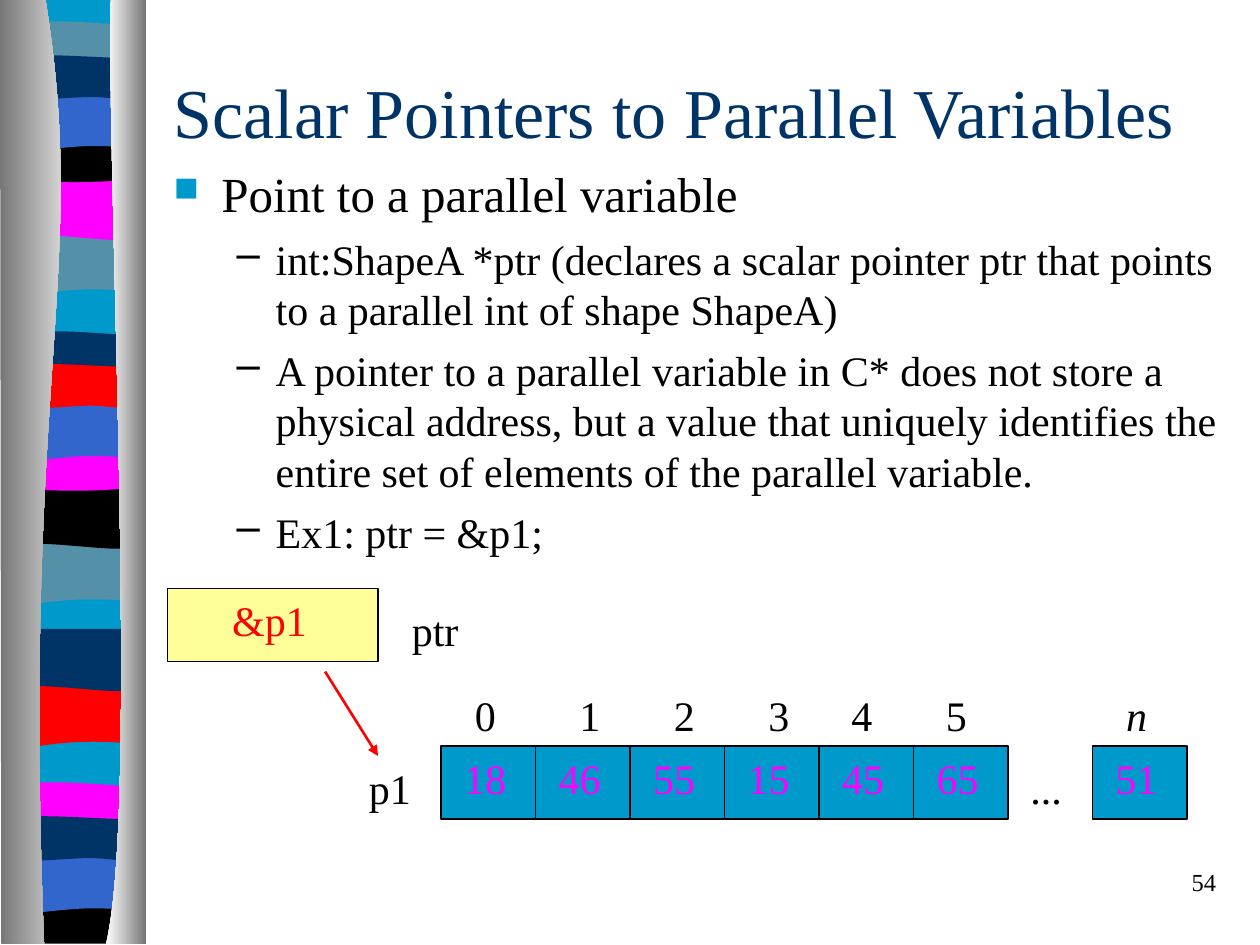
"""Build the slide on scalar pointers to parallel variables."""
from lxml import etree
from pptx import Presentation
from pptx import util as u
from pptx.dml import color
from pptx.enum import shapes, text
from pptx.oxml import ns

FONT = "Times New Roman"
BLACK, NAVY, TEAL, CYAN = "000000", "003366", "5490A8", "0099CC"
BLUE, PINK, RED, YELLOW = "3366CC", "FF00FF", "FF0000", "FFFF99"


def rgb(value):
    return color.RGBColor.from_string(value)


def add_outline(segments, left=0, top=0):
    points = [(u.Inches(left + segment[i]), u.Inches(top + segment[i + 1]))
              for segment in segments for i in range(0, len(segment), 2)]
    builder = slide.shapes.build_freeform(*points[0])
    builder.add_line_segments(points[1:], close=True)
    outline = builder.convert_to_shape()
    steps = iter(list(outline._element.iter(ns.qn("a:lnTo"))))
    for segment in segments[1:]:
        step = next(steps)
        if len(segment) == 6:
            step.addprevious(curve := etree.Element(ns.qn("a:cubicBezTo")))
            for control in (step, next(steps), next(steps)):
                curve.append(control[0])
                control.getparent().remove(control)
    outline.shadow.inherit = False
    outline.line.fill.background()
    return outline


presentation = Presentation()
presentation.slide_width, presentation.slide_height = u.Inches(10), u.Inches(7.5)
slide = presentation.slides.add_slide(presentation.slide_layouts[5])

W = 1.08
motifs = {
    "base": [(W, 0), (W, 7.48), (0, 7.48), (0, 0)],
    "wave": [(W, 0), (W, .47), (.33, .39, .18, .55, 0, .47), (0, 0)],
    "dip": [(W, 0), (W, .47), (.9, .55, .33, .41, 0, .47), (0, 0)],
    "lens": [(W, .05), (W, .29), (.9, .33, .18, .33, 0, .29), (0, .05),
             (.06, 0, .23, .01, .41, .01), (.59, .01, .94, .04, W, .05)],
    "bowl": [(W, 0), (W, .32), (.9, .38, .18, .38, 0, .32), (0, 0),
             (.66, .05, .85, 0, W, 0)],
    "arch": [(W, 0), (W, .47), (.91, .42, .84, .42, .66, .42),
             (.48, .42, .16, .47, 0, .47), (0, 0)],
    "ribbon": [(W, .05), (W, .36), (1.01, .41, .84, .36, .66, .36),
               (.48, .36, .11, .41, 0, .36), (0, .05),
               (.15, 0, .73, .05, .91, .05), (1.09, .05, 1.04, .05, W, .05)],
    "foot": [(W, 0), (W, .37), (0, .37), (0, 0), (.66, .05, .85, 0, W, 0)],
}
bands = [
    ("base", .06, -.01, CYAN), ("wave", .06, 1.85, TEAL), ("dip", .06, 1.41, PINK),
    ("lens", .06, .16, TEAL), ("bowl", .06, 1.08, BLACK), ("arch", .06, .74, BLUE),
    ("ribbon", .06, .41, NAVY), ("wave", .05, 4.31, TEAL), ("dip", .05, 3.86, BLACK),
    ("lens", .05, 2.62, NAVY), ("bowl", .05, 3.53, PINK), ("arch", .05, 3.2, BLUE),
    ("ribbon", .05, 2.86, RED), ("wave", .06, 5.44, RED), ("dip", .06, 4.99, NAVY),
    ("lens", .05, 6.2, PINK), ("foot", .05, 7.12, BLACK), ("arch", .05, 6.79, BLUE),
    ("ribbon", .05, 6.45, NAVY),
]
for motif, left, top, fill in bands:
    band = add_outline(motifs[motif], left, top)
    band.fill.solid()
    band.fill.fore_color.rgb = rgb(fill)

pillars = [
    ([(.36, -.01), (.71, 2.16, .17, 2.96, .35, 7.49), (.01, 7.49), (0, -.01)],
     ("767676", "FFFFFF")),
    ([(.88, -.01), (.84, 1.25, 1.11, 6.46, .84, 7.49), (1.16, 7.49), (1.16, 0)],
     ("FFFFFF", "767676")),
]
for segments, shades in pillars:
    pillar = add_outline(segments)
    pillar.fill.gradient()
    pillar.fill.gradient_angle = 0
    for stop, position, shade in zip(pillar.fill.gradient_stops, (0, 1), shades):
        stop.position = position
        stop.color.rgb = rgb(shade)

title = slide.shapes.title
title.left, title.top, title.width, title.height = map(u.Inches, (1.28, .5, 8.5, .75))
title.text_frame.vertical_anchor = text.MSO_ANCHOR.MIDDLE
title.text_frame.auto_size = text.MSO_AUTO_SIZE.NONE
paragraph = title.text_frame.paragraphs[0]
paragraph.alignment = text.PP_ALIGN.LEFT
run = paragraph.add_run()
run.text = "Scalar Pointers to Parallel Variables"
run.font.name, run.font.size = FONT, u.Pt(40)
run.font.color.rgb = rgb(NAVY)

body = slide.shapes.add_textbox(*map(u.Inches, (1.28, 1.25, 8.5, 5.42)))
body.text_frame.word_wrap = True
lines = [
    (0, "Point to a parallel variable"),
    (1, "int:ShapeA *ptr (declares a scalar pointer ptr that points to a parallel int of shape ShapeA)"),
    (1, "A pointer to a parallel variable in C* does not store a physical address, but a value "
        "that uniquely identifies the entire set of elements of the parallel variable."),
    (1, "Ex1: ptr = &p1;"),
]
levels = [(.38, -.38, 28, "■", CYAN, 70), (.81, -.31, 24, "–", BLACK, 100)]
for number, (level, words) in enumerate(lines):
    margin, indent, size, bullet, bullet_color, percent = levels[level]
    paragraph = body.text_frame.add_paragraph() if number else body.text_frame.paragraphs[0]
    paragraph.level = level
    properties = paragraph._p.get_or_add_pPr()
    properties.set("marL", str(u.Inches(margin)))
    properties.set("indent", str(u.Inches(indent)))
    holder = etree.SubElement(properties, ns.qn("a:buClr"))
    etree.SubElement(holder, ns.qn("a:srgbClr"), val=bullet_color)
    etree.SubElement(properties, ns.qn("a:buSzPct"), val=str(percent * 1000))
    etree.SubElement(properties, ns.qn("a:buChar"), char=bullet)
    paragraph.space_before = u.Pt(6 if number else 0)
    run = paragraph.add_run()
    run.text = words
    run.font.name, run.font.size = FONT, u.Pt(size)
    run.font.color.rgb = rgb(BLACK)

values = ["18", "46", "55", "15", "45", "65"]
boxes = [(3.5 + .75 * column, 5.92, .75, value, CYAN, PINK)
         for column, value in enumerate(values)]
boxes += [(8.67, 5.92, .75, "51", CYAN, PINK), (1.33, 4.67, 1.67, "&p1", YELLOW, RED)]
for left, top, width, words, fill, ink in boxes:
    box = slide.shapes.add_shape(shapes.MSO_SHAPE.RECTANGLE,
                                 *map(u.Inches, (left, top, width, .58)))
    box.shadow.inherit = False
    box.fill.solid()
    box.fill.fore_color.rgb = rgb(fill)
    box.line.color.rgb = rgb(BLACK)
    box.line.width = u.Pt(.75)
    box.text_frame.vertical_anchor = text.MSO_ANCHOR.TOP
    box.text_frame.margin_right = u.Inches(.15)
    paragraph = box.text_frame.paragraphs[0]
    paragraph.alignment = text.PP_ALIGN.CENTER
    run = paragraph.add_run()
    run.text = words
    run.font.name, run.font.size = FONT, u.Pt(24)
    run.font.color.rgb = rgb(ink)

index_stops = [.34, 1.17, 1.92, 2.67, 3.33, 4.08, 5.51]
labels = [
    (3.33, 5.42, 6.5, ["\t0\t1\t2\t3\t4\t5\t", "n"], 24, text.PP_ALIGN.LEFT, index_stops),
    (2.83, 6, .58, ["p1"], 24, text.PP_ALIGN.LEFT, []),
    (8.08, 6, .58, ["..."], 24, text.PP_ALIGN.LEFT, []),
    (3.17, 4.75, .58, ["ptr"], 24, text.PP_ALIGN.LEFT, []),
    (7.67, 6.83, 2.08, ["54"], 14, text.PP_ALIGN.RIGHT, []),
]
for left, top, width, runs, size, alignment, stops in labels:
    label = slide.shapes.add_textbox(*map(u.Inches, (left, top, width, .5)))
    label.text_frame.word_wrap = True
    paragraph = label.text_frame.paragraphs[0]
    paragraph.alignment = alignment
    if stops:
        tabs = etree.SubElement(paragraph._p.get_or_add_pPr(), ns.qn("a:tabLst"))
        for stop in stops:
            etree.SubElement(tabs, ns.qn("a:tab"), pos=str(u.Inches(stop)), algn="l")
    for words in runs:
        run = paragraph.add_run()
        run.text = words
        run.font.name, run.font.size = FONT, u.Pt(size)
        run.font.italic = words == "n"
        run.font.color.rgb = rgb(BLACK)

arrow = slide.shapes.add_connector(shapes.MSO_CONNECTOR.STRAIGHT,
                                   *map(u.Inches, (2.58, 5.33, 3, 6)))
arrow.line.color.rgb = rgb(RED)
arrow.line.width = u.Pt(1.5)
etree.SubElement(arrow.line._get_or_add_ln(), ns.qn("a:tailEnd"), type="triangle")
etree.SubElement(arrow._element.spPr, ns.qn("a:effectLst"))

presentation.save("out.pptx")
